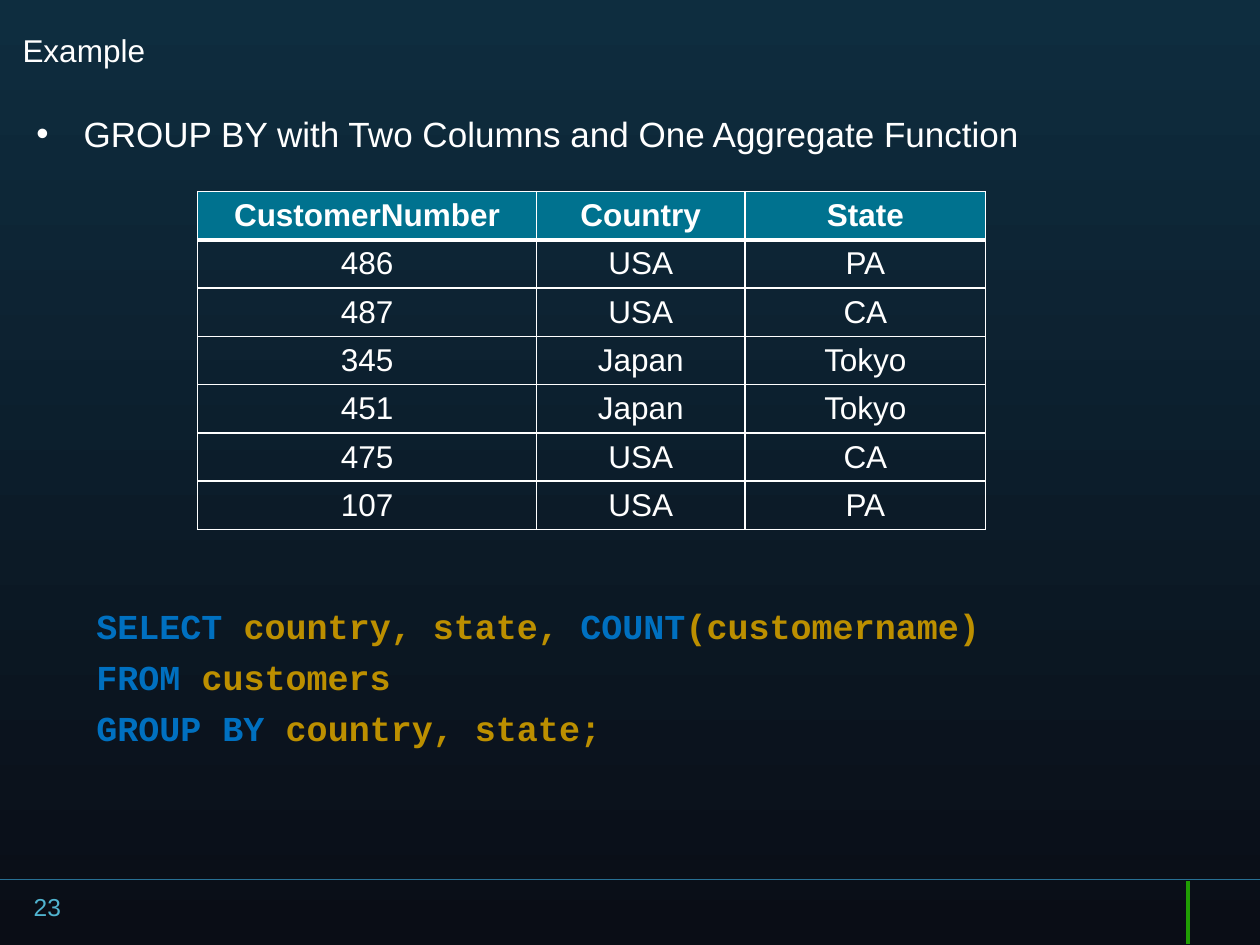
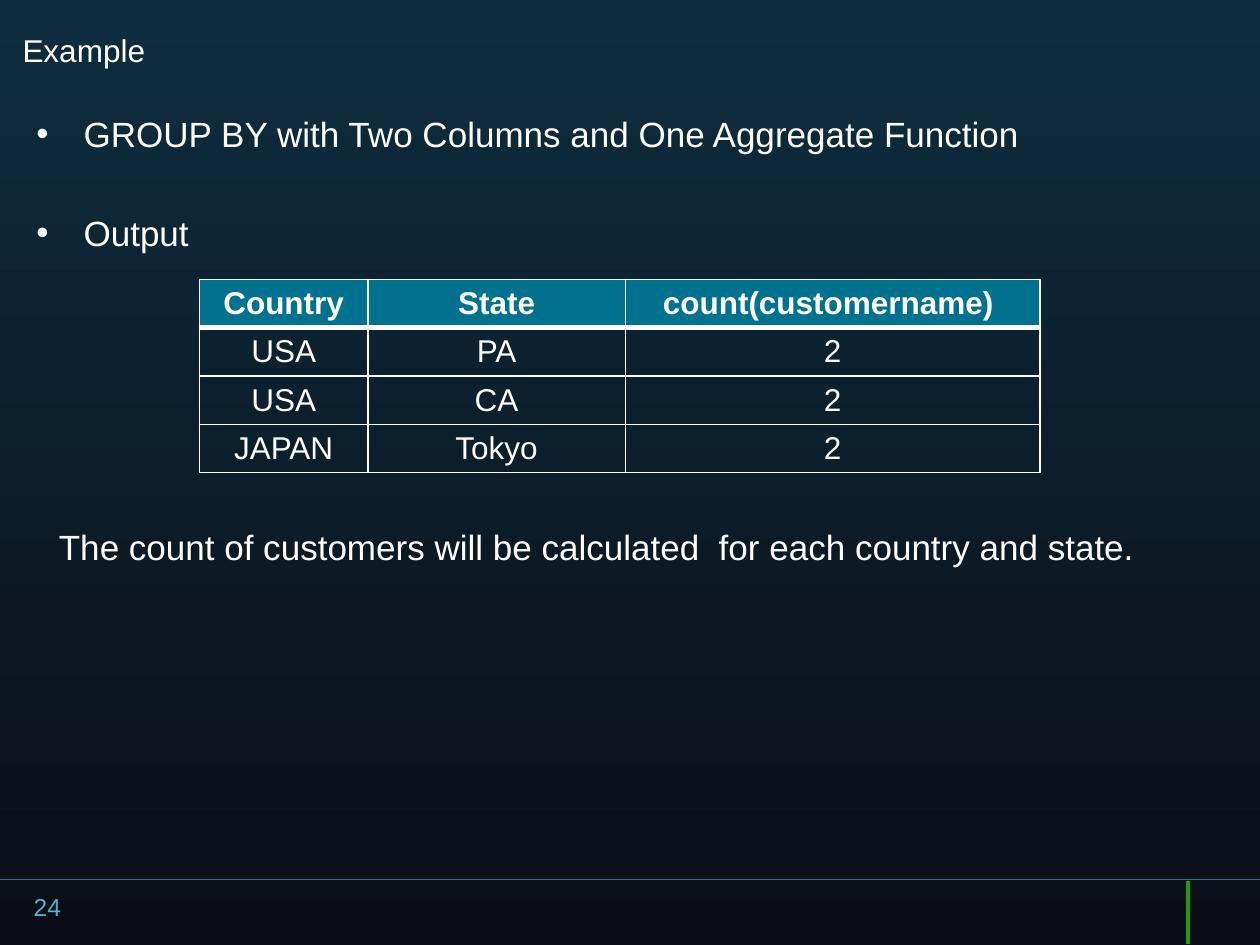
import pptx
import pptx.dml.color
import pptx.enum.shapes
import pptx.enum.text
import pptx.oxml.ns
import pptx.util
from lxml import etree

Pt = pptx.util.Pt
qn = pptx.oxml.ns.qn
rgb = pptx.dml.color.RGBColor.from_string

WHITE, HEADER, NUMBER = "FFFFFF", "00728F", "50B3CF"
KEYWORD, NAME = "0070C0", "BC8F00"
BACKGROUND = ["0E2D3F", "0A0D16"]
FOOTER_LINES = [  # start x, start y, end x, end y, colour, width
    (720, 502.5, 0, 502.5, "287094", 0.75),
    (679, 503.3, 679, 539.3, "209D03", 2),
]
ROW_HEIGHT = 27.36
TOPIC = "GROUP BY with Two Columns and One Aggregate Function"

BODY = {"name": "Arial", "size": Pt(20), "bold": False}
TITLE = BODY | {"size": Pt(18)}
FOOTER = BODY | {"size": Pt(14)}
CODE = {"name": "Courier New", "size": Pt(20), "bold": True}

SLIDES = [
    {
        "number": "23",
        "bullets": [TOPIC],
        "body_height": 40,
        "table_at": (113, 109.5),
        "columns": [193.5, 119.3, 137.5],
        "rows": [
            ["CustomerNumber", "Country", "State"],
            ["486", "USA", "PA"],
            ["487", "USA", "CA"],
            ["345", "Japan", "Tokyo"],
            ["451", "Japan", "Tokyo"],
            ["475", "USA", "CA"],
            ["107", "USA", "PA"],
        ],
        "note_at": (48, 342, 648, 112),
        "note_font": CODE,
        "note": [
            [("SELECT ", KEYWORD), ("country, state, ", NAME),
             ("COUNT", KEYWORD), ("(customername)", NAME)],
            [("FROM", KEYWORD), (" customers", NAME)],
            [("GROUP BY ", KEYWORD), ("country, state;", NAME)],
        ],
    },
    {
        "number": "24",
        "bullets": [TOPIC, "Output"],
        "body_height": 90,
        "table_at": (114, 159.7),
        "columns": [96.2, 147.2, 236.9],
        "rows": [
            ["Country", "State", "count(customername) "],
            ["USA", "PA", "2"],
            ["USA", "CA", "2"],
            ["JAPAN", "Tokyo", "2"],
        ],
        "note_at": (26.6, 296.6, 648, 45),
        "note_font": BODY,
        "note": [[("The count of customers will be calculated  for each country and state.", WHITE)]],
    },
]


def write(tf, paragraphs, font, gap=5):
    """Fill a text frame with paragraphs, each a list of (text, colour) runs."""
    tf.word_wrap = True
    for i, runs in enumerate(paragraphs):
        p = tf.add_paragraph() if i else tf.paragraphs[0]
        p.space_before = Pt(gap if i else 0)
        for text, color in runs:
            r = p.add_run()
            r.text = text
            r.font.color.rgb = rgb(color)
            for key, value in font.items():
                setattr(r.font, key, value)


def add_text(s, box, paragraphs, font, gap=5):
    sp = s.shapes.add_textbox(*map(Pt, box))
    write(sp.text_frame, paragraphs, font, gap)
    return sp


prs = pptx.Presentation()
prs.slide_width, prs.slide_height = Pt(720), Pt(540)

for content in SLIDES:
    s = prs.slides.add_slide(prs.slide_layouts[6])
    fill = s.background.fill
    fill.gradient()
    fill.gradient_angle = 270
    for stop, color in zip(fill.gradient_stops, BACKGROUND):
        stop.color.rgb = rgb(color)

    for x1, y1, x2, y2, color, width in FOOTER_LINES:
        line = s.shapes.add_connector(
            pptx.enum.shapes.MSO_CONNECTOR.STRAIGHT, Pt(x1), Pt(y1), Pt(x2), Pt(y2))
        line.line.color.rgb = rgb(color)
        line.line.width = Pt(width)
        etree.SubElement(line._element.spPr, qn("a:effectLst"))

    # The second bullet stands two lines below the first
    bullets = [[(text, WHITE)] for text in content["bullets"]]
    body = add_text(s, (13.7, 60.5, 648, content["body_height"]), bullets, BODY, gap=33)
    for p in body.text_frame.paragraphs:
        pPr = p._p.get_or_add_pPr()
        pPr.set("marL", str(Pt(27)))
        pPr.set("indent", str(-Pt(27)))
        etree.SubElement(pPr, qn("a:buFont"), typeface="Arial")
        etree.SubElement(pPr, qn("a:buChar"), char="•")

    add_text(s, (5.8, 14.4, 540, 42), [[("Example", WHITE)]], TITLE)

    rows, columns = content["rows"], content["columns"]
    left, top = content["table_at"]
    table = s.shapes.add_table(
        len(rows), len(columns), Pt(left), Pt(top),
        Pt(sum(columns)), Pt(ROW_HEIGHT * len(rows))).table
    table.first_row = table.horz_banding = False
    for column, width in zip(table.columns, columns):
        column.width = Pt(width)
    for i, row in enumerate(rows):
        table.rows[i].height = Pt(ROW_HEIGHT)
        for j, text in enumerate(row):
            cell = table.cell(i, j)
            cell.margin_top = cell.margin_bottom = Pt(3)
            cell.vertical_anchor = pptx.enum.text.MSO_ANCHOR.MIDDLE
            write(cell.text_frame, [[(text, WHITE)]], TITLE | {"bold": i == 0})
            cell.text_frame.paragraphs[0].alignment = pptx.enum.text.PP_ALIGN.CENTER
            tcPr = cell._tc.get_or_add_tcPr()
            widths = {"L": 1, "R": 1, "T": 3 if i == 1 else 1, "B": 3 if i == 0 else 1}
            for side, width in widths.items():
                ln = etree.SubElement(tcPr, qn(f"a:ln{side}"), w=str(Pt(width)))
                solid = etree.SubElement(ln, qn("a:solidFill"))
                etree.SubElement(solid, qn("a:srgbClr"), val=WHITE)
            if i == 0:
                cell.fill.solid()
                cell.fill.fore_color.rgb = rgb(HEADER)
            else:
                cell.fill.background()

    add_text(s, (12.2, 506.2, 36, 21.6), [[(content["number"], NUMBER)]], FOOTER)
    add_text(s, content["note_at"], content["note"], content["note_font"])

prs.save("out.pptx")
